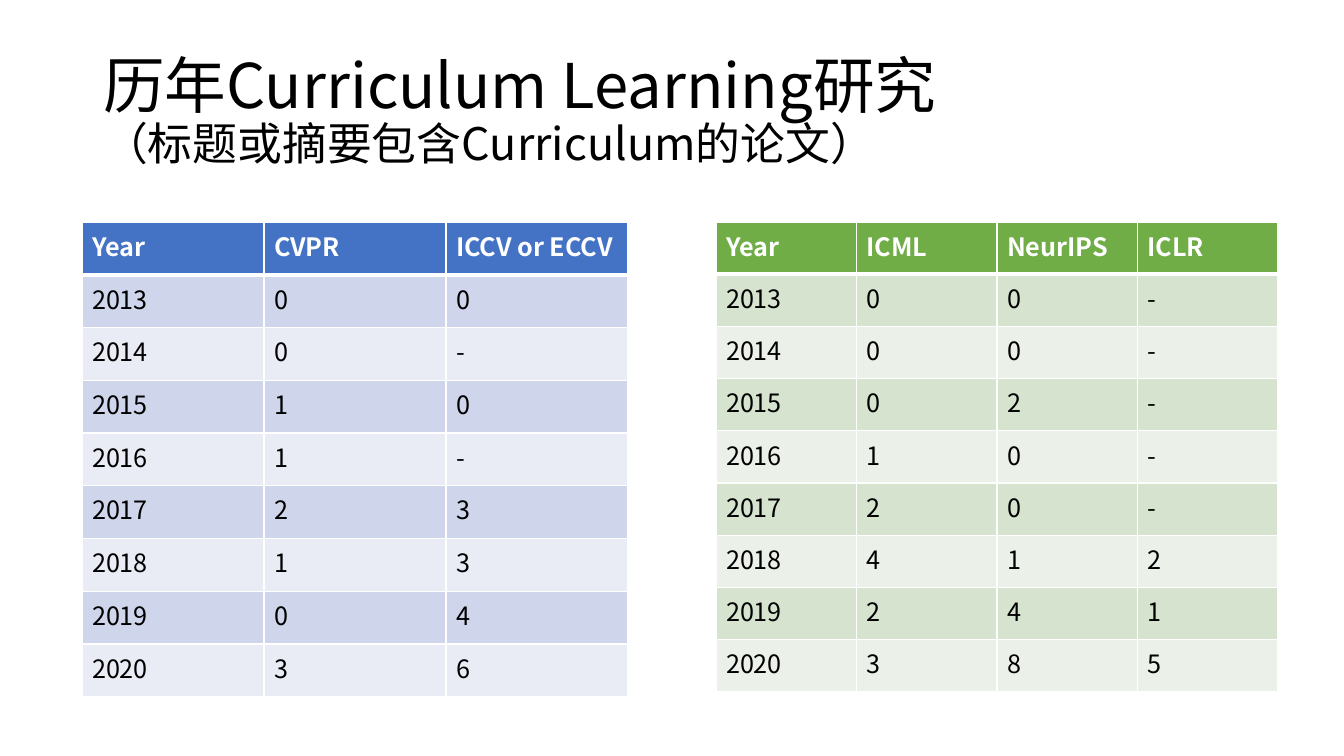
from lxml import etree
from pptx import Presentation
from pptx import util as u
from pptx.dml.color import RGBColor
from pptx.enum import text
from pptx.oxml import ns

FONT = "Noto Sans CJK SC"
PIXEL = u.Inches(1) / 100.8
BLACK = RGBColor(0x00, 0x00, 0x00)
WHITE = RGBColor(0xFF, 0xFF, 0xFF)
BLUES = [RGBColor(0x44, 0x72, 0xC4), RGBColor(0xCF, 0xD5, 0xEA), RGBColor(0xE9, 0xEB, 0xF5)]
GREENS = [RGBColor(0x70, 0xAD, 0x47), RGBColor(0xD5, 0xE3, 0xCF), RGBColor(0xEB, 0xF1, 0xE9)]


def px(*lengths):
    return [u.Emu(round(length * PIXEL)) for length in lengths]


def add_border(cell, side, points):
    properties = cell._tc.get_or_add_tcPr()
    line = etree.SubElement(properties, ns.qn(f"a:ln{side}"), w=str(u.Pt(points)))
    fill = etree.SubElement(line, ns.qn("a:solidFill"))
    etree.SubElement(fill, ns.qn("a:srgbClr"), val=str(WHITE))


deck = Presentation()
deck.slide_width, deck.slide_height = px(1344, 756)
page = deck.slides.add_slide(deck.slide_layouts[5])

title = page.shapes.title
title.left, title.top, title.width, title.height = px(93, 40, 1159, 146)
frame = title.text_frame
frame.auto_size = text.MSO_AUTO_SIZE.NONE
frame.vertical_anchor = text.MSO_ANCHOR.MIDDLE
heading = frame.paragraphs[0]
heading.alignment = text.PP_ALIGN.LEFT
heading.line_spacing = 0.9
heading.font.name = FONT
heading.font.color.rgb = BLACK
for words, size in [("历年Curriculum Learning研究", 44), ("(标题或摘要包含Curriculum的论文)", 32)]:
    if heading.runs:
        heading.add_line_break()
    span = heading.add_run()
    span.text = words.replace("(", "（").replace(")", "）")
    span.font.size = u.Pt(size)
    etree.SubElement(span._r.get_or_add_rPr(), ns.qn("a:ea"), typeface=FONT)

vision_papers = {
    "CVPR": "00112103",
    "ICCV or ECCV": "0-0-3346",
}
learning_papers = {
    "ICML": "00012423",
    "NeurIPS": "00200148",
    "ICLR": "-----215",
}
years = [str(year) for year in range(2013, 2021)]

for papers, colours, left, width, height in [
    (vision_papers, BLUES, 82, 546, 475),
    (learning_papers, GREENS, 716, 562, 470),
]:
    columns = {"Year": years, **papers}
    table = page.shapes.add_table(
        len(years) + 1, len(columns), *px(left, 222, width, height)
    ).table
    for column, (name, values) in enumerate(columns.items()):
        for row, value in enumerate([name, *values]):
            cell = table.cell(row, column)
            cell.text = value
            is_header = row == 0
            for side in "LRTB":
                thick = (is_header and side == "B") or (row == 1 and side == "T")
                add_border(cell, side, 3 if thick else 1)
            cell.fill.solid()
            cell.fill.fore_color.rgb = colours[0] if is_header else colours[2 - row % 2]
            font = cell.text_frame.paragraphs[0].font
            font.name = FONT
            font.size = u.Pt(18)
            font.bold = is_header
            font.color.rgb = WHITE if is_header else BLACK

deck.save("out.pptx")
